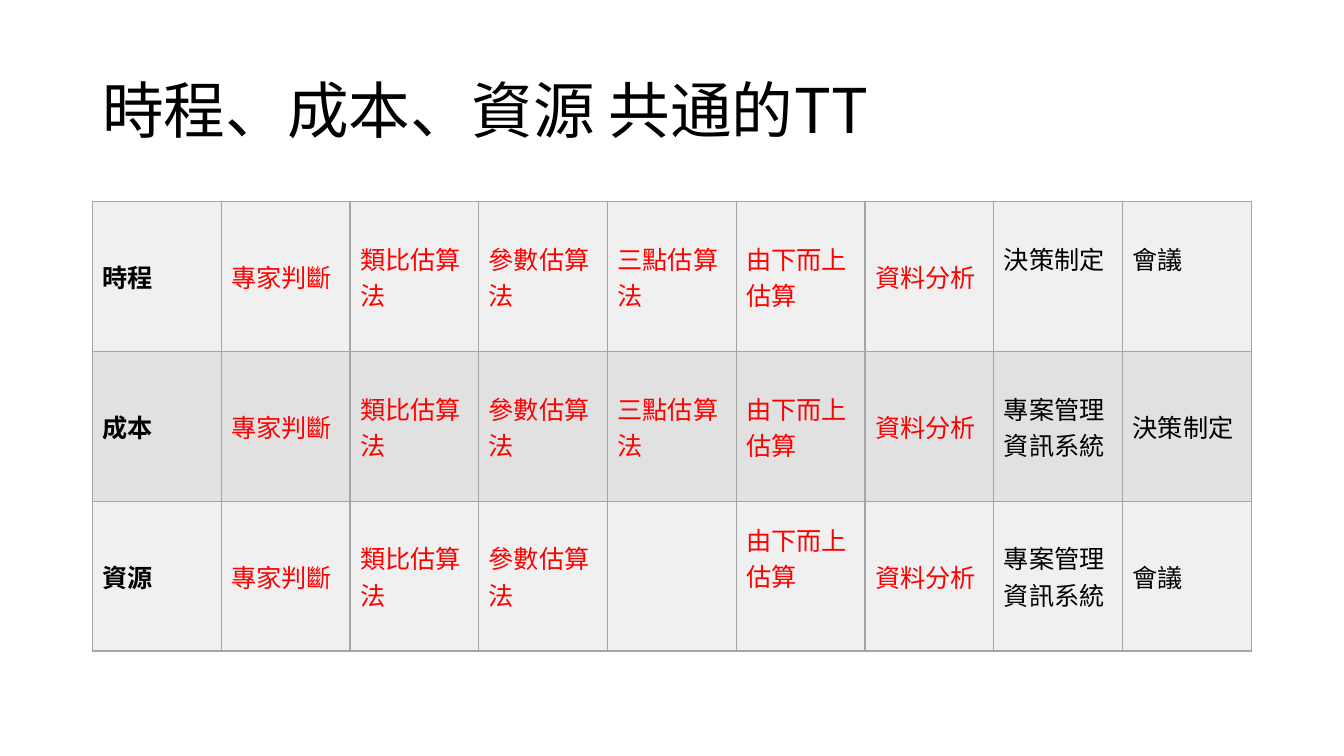
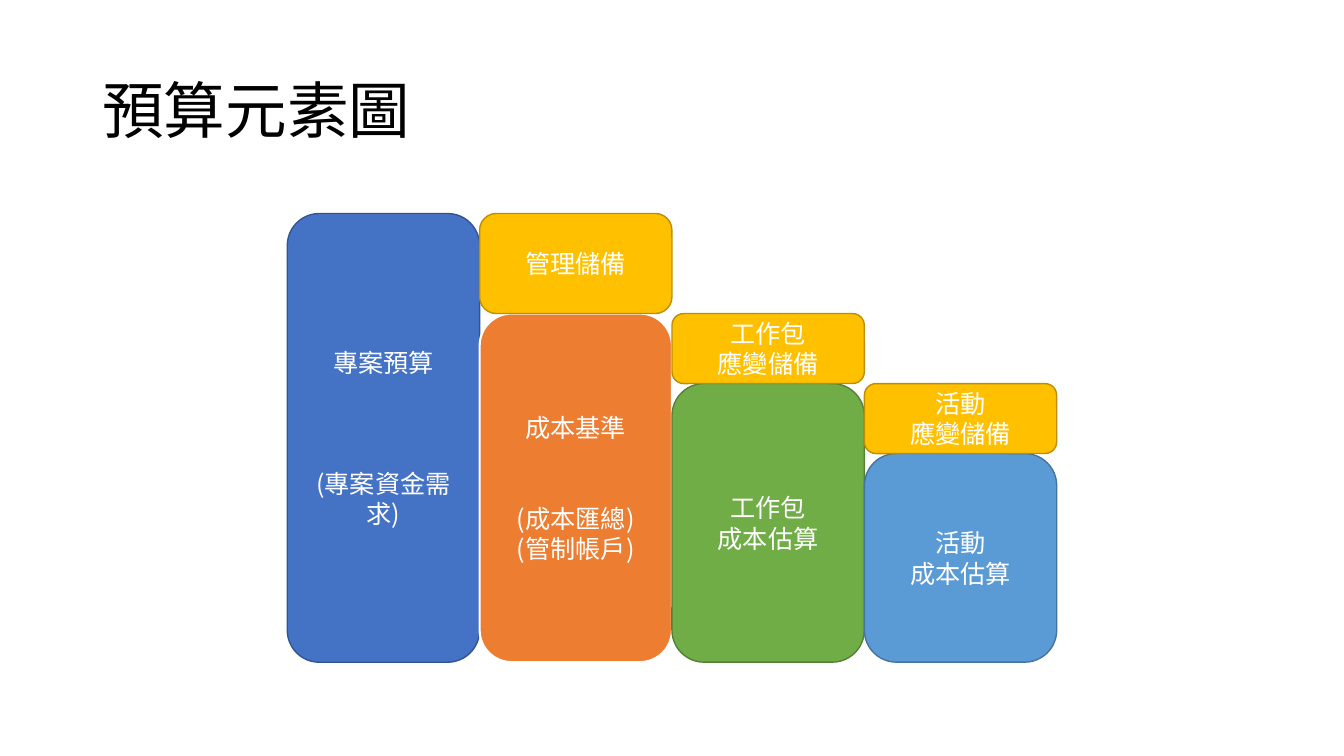
from lxml import etree
from pptx import Presentation
from pptx.dml.color import RGBColor
from pptx.enum import shapes, text
from pptx.oxml.ns import qn
from pptx.util import Pt

FONT = "Noto Sans CJK SC"
COLORS = {
    "black": "000000", "white": "FFFFFF", "shared": "FF0000",
    "border": "A5A5A5", "light": "F0F0F0", "dark": "E1E1E1",
    "blue": "4472C4", "blue line": "325491", "orange": "ED7D31",
    "green": "70AD47", "green line": "538035", "sky": "5B9BD5",
    "sky line": "43739E", "gold": "FFC000", "gold line": "BD8E00",
}


def write(frame, wording, size, color, bold=False):
    """Fill a text frame, one paragraph a line, and style its runs."""
    frame.text = wording
    frame.word_wrap = True
    frame.vertical_anchor = text.MSO_ANCHOR.MIDDLE
    for paragraph in frame.paragraphs:
        for run in paragraph.runs:
            run.font.size, run.font.bold, run.font.name = Pt(size), bold, FONT
            run.font.color.rgb = RGBColor.from_string(COLORS[color])
            east_asian = etree.SubElement(run.font._element, qn("a:ea"))
            east_asian.set("typeface", FONT)


def add_titled_slide(wording):
    slide = deck.slides.add_slide(deck.slide_layouts[6])
    title = slide.shapes.add_textbox(Pt(66), Pt(28.8), Pt(828), Pt(104.4))
    write(title.text_frame, wording, 44, "black")
    title.text_frame.paragraphs[0].line_spacing = 0.9
    return slide


deck = Presentation()
deck.slide_width, deck.slide_height = Pt(960), Pt(540)

# Slide 1: techniques by process
slide = add_titled_slide("時程、成本、資源 共通的TT")
shared = ["專家判斷", "類比估算法", "參數估算法", "三點估算法", "由下而上估算", "資料分析"]
techniques = [
    ["時程", *shared, "決策制定", "會議"],
    ["成本", *shared, "專案管理資訊系統", "決策制定"],
    ["資源", *shared, "專案管理資訊系統", "會議"],
]
techniques[2][4] = ""
raised = {(0, 7), (0, 8), (2, 5)}  # cells whose text sits above the middle

grid = slide.shapes.add_table(3, 9, Pt(66), Pt(144), Pt(828), Pt(321)).table
grid.first_row = grid.horz_banding = False
for r, row in enumerate(techniques):
    for c, wording in enumerate(row):
        cell = grid.cell(r, c)
        color = "shared" if wording in shared else "black"
        write(cell.text_frame, wording, 18, color, bold=c == 0)
        cell.vertical_anchor = text.MSO_ANCHOR.MIDDLE
        if (r, c) in raised:
            cell.margin_bottom = Pt(30)
        properties = cell._tc.get_or_add_tcPr()
        for side in ("a:lnL", "a:lnR", "a:lnT", "a:lnB"):
            border = etree.SubElement(properties, qn(side), w=str(Pt(1)))
            paint = etree.SubElement(border, qn("a:solidFill"))
            etree.SubElement(paint, qn("a:srgbClr"), val=COLORS["border"])
        cell.fill.solid()
        cell.fill.fore_color.rgb = RGBColor.from_string(COLORS["dark" if r % 2 else "light"])

# Slide 2: budget steps, each with its reserve on top
slide = add_titled_slide("預算元素圖")
LEFT, WIDTH, BOTTOM, LINE = 205.2, 137.4, 473, 21.6
tops = [152.5, 224, 274, 324]
# wording, fill, line, line width, empty lines after the first paragraph, reserve
steps = [
    ("專案預算\n(專案資金需求)", "blue", "blue line", 1, 3, None),
    ("成本基準\n(成本匯總)\n(管制帳戶)", "orange", "white", 1.5, 2, "管理儲備"),
    ("工作包\n成本估算", "green", "green line", 1, 0, "工作包\n應變儲備"),
    ("活動\n成本估算", "sky", "sky line", 1, 0, "活動\n應變儲備"),
]
blocks = []
for i, (wording, fill, line, weight, gap, reserve) in enumerate(steps):
    blocks.append((i, tops[i], BOTTOM, wording, fill, line, weight, gap))
    if reserve:
        blocks.append((i, tops[i - 1], tops[i], reserve, "gold", "gold line", 1, 0))

for column, top, bottom, wording, fill, line, weight, gap in blocks:
    block = slide.shapes.add_shape(
        shapes.MSO_SHAPE.ROUNDED_RECTANGLE,
        Pt(LEFT + column * WIDTH), Pt(top), Pt(WIDTH), Pt(bottom - top))
    block.shadow.inherit = False
    block.fill.solid()
    block.fill.fore_color.rgb = RGBColor.from_string(COLORS[fill])
    block.line.color.rgb = RGBColor.from_string(COLORS[line])
    block.line.width = Pt(weight)
    write(block.text_frame, wording, 18, "white")
    for paragraph in block.text_frame.paragraphs:
        paragraph.alignment = text.PP_ALIGN.CENTER
        paragraph.line_spacing = Pt(LINE)
    block.text_frame.paragraphs[0].space_after = Pt(gap * LINE)

deck.save("out.pptx")
